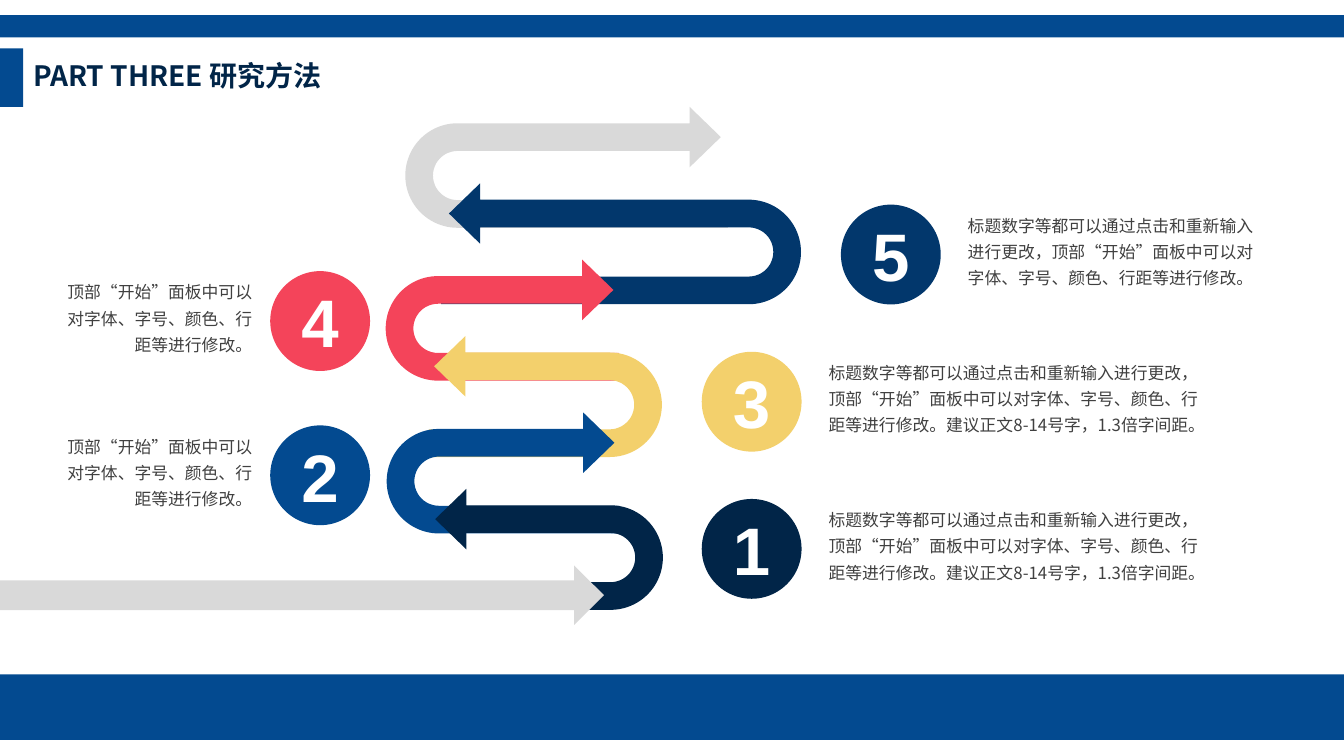
from lxml import etree
from pptx import Presentation
from pptx.dml.color import RGBColor
from pptx.enum import shapes, text
from pptx.oxml.ns import qn
from pptx.util import Inches, Pt

FONT = "Noto Sans CJK SC"
BLUE, NAVY, DEEP = "034A90", "012548", "02376C"
RED, YELLOW, GRAY = "F4445A", "F3D06C", "D9D9D9"
SHAPE = shapes.MSO_SHAPE

SHORT_TEXT = "顶部“开始”面板中可以对字体、字号、颜色、行距等进行修改。"
MEDIUM_TEXT = "标题数字等都可以通过点击和重新输入进行更改，" + SHORT_TEXT
LONG_TEXT = MEDIUM_TEXT + "建议正文8-14号字，1.3倍字间距。"

# Top to bottom: centre x, length, colour, whether it turns on the right
TURNS = [
    (5.62, 3.2, GRAY, False),
    (6.16, 3.57, DEEP, True),
    (4.98, 2.31, RED, False),
    (5.41, 2.31, YELLOW, True),
    (4.99, 2.31, BLUE, False),
    (5.42, 2.31, NAVY, True),
]
FIRST_TURN_Y, LAST_TURN_Y = 1.66, 5.45
TURN_WIDTH = 1.2

# Number, colour, circle left, top, text left, text width, wording
STEPS = [
    ("1", NAVY, 6.96, 4.95, 8.12, 4.02, LONG_TEXT),
    ("3", YELLOW, 6.96, 3.49, 8.12, 4.02, LONG_TEXT),
    ("2", BLUE, 2.68, 4.22, 0.44, 2.16, SHORT_TEXT),
    ("4", RED, 2.68, 2.69, 0.44, 2.16, SHORT_TEXT),
    ("5", DEEP, 8.34, 2.03, 9.5, 3.14, MEDIUM_TEXT),
]


def color(value):
    return RGBColor.from_string(value)


def style_paragraph(para, size, fill, name=FONT, bold=False):
    font = para.font
    font.size, font.bold, font.name = Pt(size), bold, name
    font.color.rgb = color(fill)
    # East Asian characters need their own typeface entry
    properties = para._p.pPr.find(qn("a:defRPr"))
    etree.SubElement(properties, qn("a:ea")).set("typeface", name)


def add_shape(page, kind, left, top, width, height, fill):
    shape = page.shapes.add_shape(
        kind, Inches(left), Inches(top), Inches(width), Inches(height))
    shape.shadow.inherit = False
    shape.fill.solid()
    shape.fill.fore_color.rgb = color(fill)
    shape.line.fill.background()
    return shape


def add_turn(page, center_x, center_y, length, fill, turns_right):
    arrow = add_shape(page, SHAPE.U_TURN_ARROW, center_x - TURN_WIDTH / 2,
                      center_y - length / 2, TURN_WIDTH, length, fill)
    bend = 0.432 if fill == DEEP else 0.437
    for index, value in enumerate((0.229, 0.25, 0.258, bend, 0.978)):
        arrow.adjustments[index] = value
    arrow.rotation = 90 if turns_right else 270
    if turns_right:
        arrow._element.spPr.find(qn("a:xfrm")).set("flipH", "1")


def add_circle(page, number, fill, left, top):
    circle = add_shape(page, SHAPE.OVAL, left, top, 0.99, 0.99, fill)
    frame = circle.text_frame
    frame.text = number
    frame.vertical_anchor = text.MSO_ANCHOR.MIDDLE
    para = frame.paragraphs[0]
    para.alignment = text.PP_ALIGN.CENTER
    style_paragraph(para, 48, "FFFFFF", "Arial", True)


def add_description(page, left, top, width, words, align):
    box = page.shapes.add_textbox(
        Inches(left), Inches(top), Inches(width), Inches(0.89))
    frame = box.text_frame
    frame.word_wrap = True
    frame.auto_size = text.MSO_AUTO_SIZE.SHAPE_TO_FIT_TEXT
    frame.text = words
    para = frame.paragraphs[0]
    para.alignment = align
    para.line_spacing = 1.3
    style_paragraph(para, 12, "404040")


def set_title(page, words):
    title = page.shapes.title
    title.left, title.top = Inches(0.23), Inches(0.48)
    title.width, title.height = Inches(5.32), Inches(0.58)
    frame = title.text_frame
    frame.text = words
    frame.auto_size = text.MSO_AUTO_SIZE.NONE
    frame.vertical_anchor = text.MSO_ANCHOR.MIDDLE
    para = frame.paragraphs[0]
    para.alignment = text.PP_ALIGN.LEFT
    para.line_spacing, para.space_before = 0.9, Pt(10)
    style_paragraph(para, 20, NAVY, bold=True)


def main():
    deck = Presentation()
    deck.slide_width, deck.slide_height = Inches(13.33), Inches(7.5)
    page = deck.slides.add_slide(deck.slide_layouts[5])

    # Frame bands and title
    for top, width, height in ((6.69, 13.33, 0.65), (0.15, 13.33, 0.22),
                               (0.48, 0.23, 0.58)):
        add_shape(page, SHAPE.RECTANGLE, 0, top, width, height, BLUE)
    set_title(page, "PART THREE 研究方法")

    # Winding road of arrows
    pitch = (LAST_TURN_Y - FIRST_TURN_Y) / (len(TURNS) - 1)
    for row, (center_x, length, fill, turns_right) in enumerate(TURNS):
        add_turn(page, center_x, FIRST_TURN_Y + row * pitch, length, fill,
                 turns_right)
    add_shape(page, SHAPE.RIGHT_ARROW, 0, 5.61, 5.99, 0.59, GRAY)

    # Numbered steps
    for number, fill, left, top, text_left, width, words in STEPS:
        on_left = text_left < left
        align = text.PP_ALIGN.RIGHT if on_left else text.PP_ALIGN.LEFT
        add_description(page, text_left, top, width, words, align)
        add_circle(page, number, fill, left, top)

    deck.save("out.pptx")


if __name__ == "__main__":
    main()
